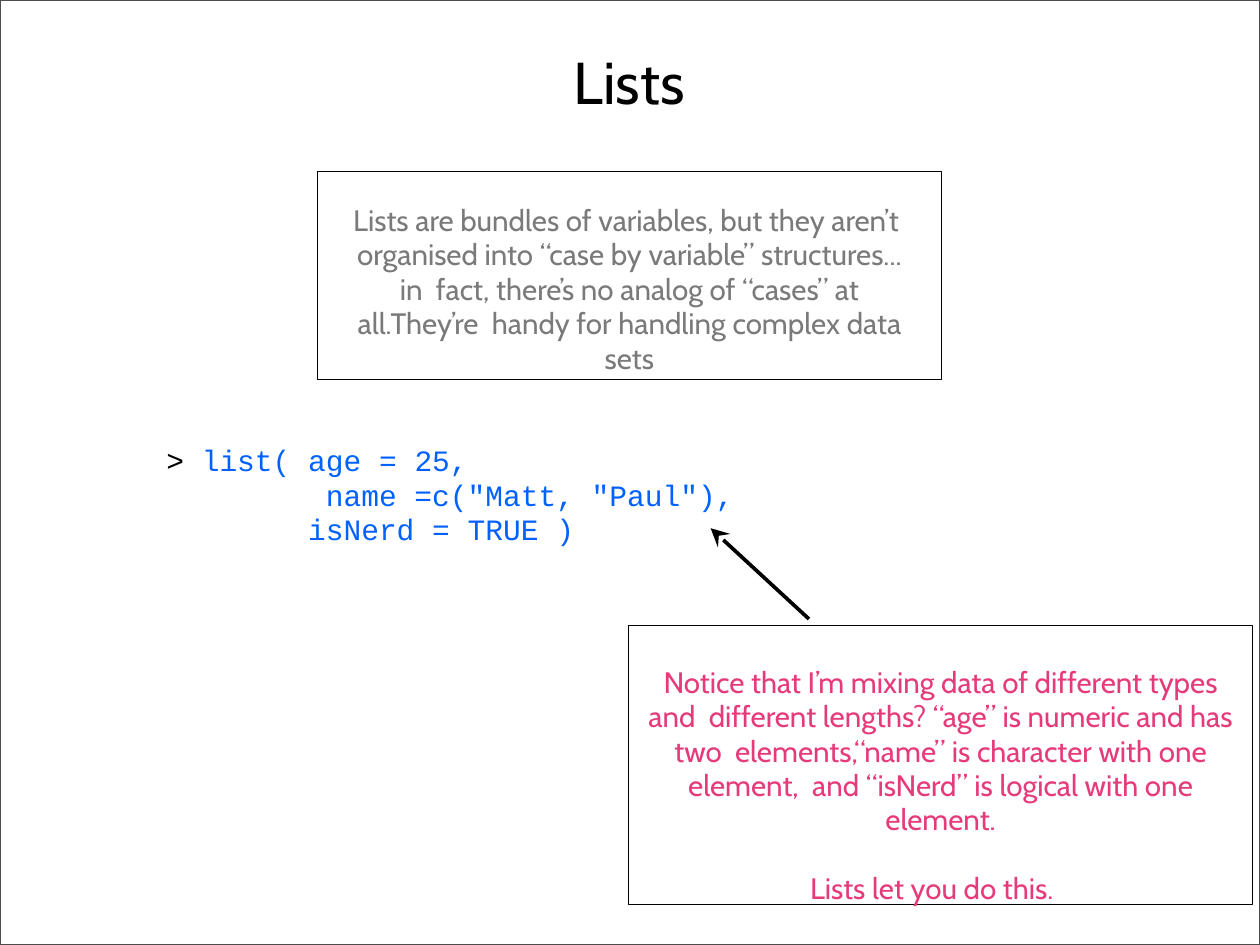
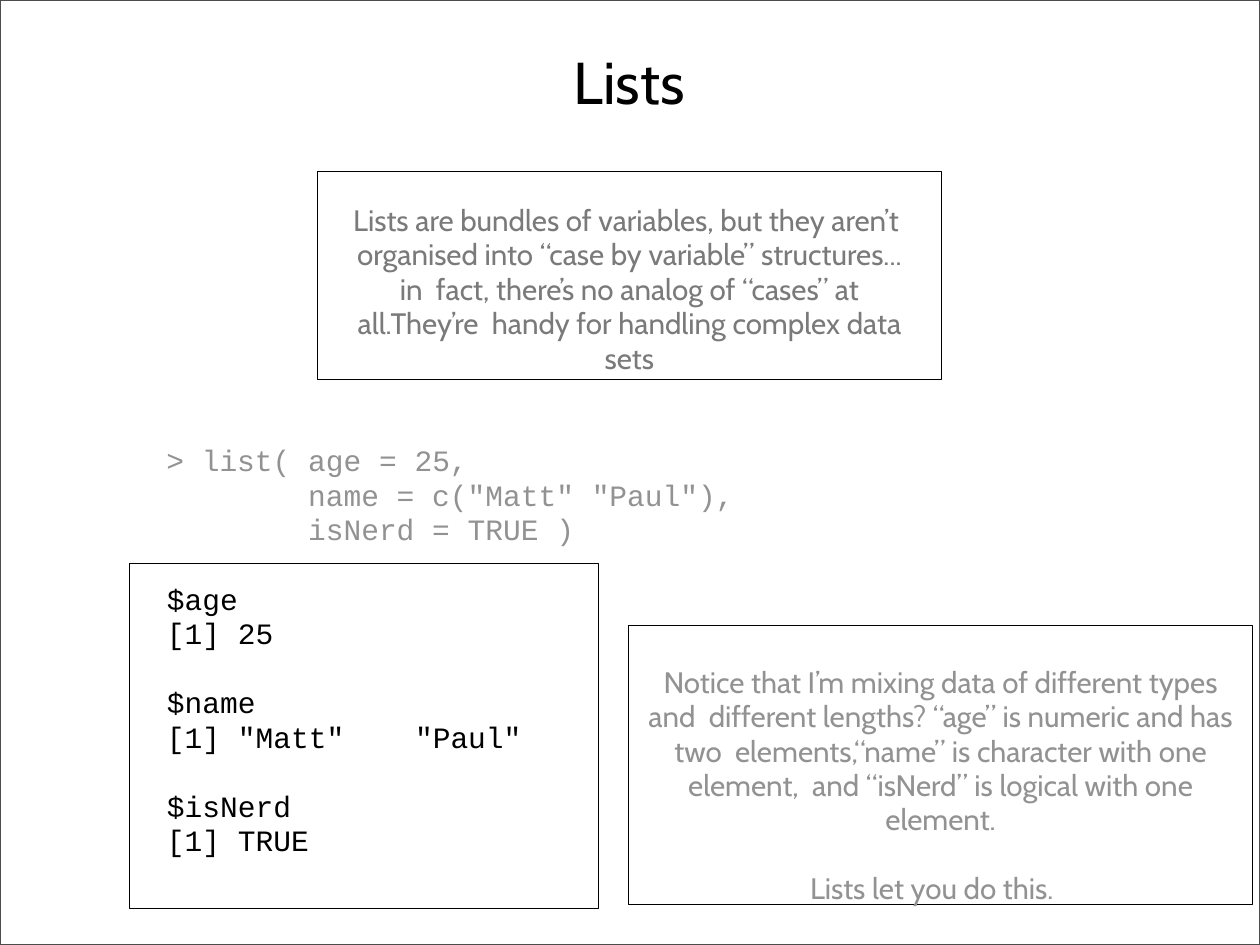
from lxml import etree
from pptx import Presentation, util as u
from pptx.dml.color import RGBColor
from pptx.enum import shapes, text
from pptx.oxml import ns

WIDTH, HEIGHT = 14.22, 10.67
COLOURS = {
    "black": "000000",
    "blue": "0061FF",
    "pink": "E63B7A",
    "grey": "7A7A7A",
    "faded": "929292",
    "frame": "4C4C4C",
}
PROSE, CODE = "Cabin", "Courier New"
TITLE_SIZE, TEXT_SIZE = 48, 24
LINE_PITCH = 28
CHARACTER = 0.2  # inches, one Courier New character at the text size

EXPLANATION = (
    "Lists are bundles of variables, but they aren’t  organised into “case by "
    "variable” structures... in  fact, there’s no analog of “cases” at "
    "all.They’re  handy for handling complex data sets"
)
NOTICE = (
    "Notice that I’m mixing data of different types and  different lengths? "
    "“age” is numeric and has two  elements,“name” is character with one "
    "element,  and “isNerd” is logical with one element."
)
CONCLUSION = "Lists let you do this."
OUTPUT = ["$age", "[1] 25", "$name", '[1] "Matt"\t"Paul"', "$isNerd", "[1] TRUE"]


def across(percent):
    return u.Inches(WIDTH * percent / 100)


def down(percent):
    return u.Inches(HEIGHT * percent / 100)


def area(left, top, width, height):
    """Turn percentages of the slide into lengths."""
    return across(left), down(top), across(width), down(height)


def colour(name):
    return RGBColor.from_string(COLOURS[name])


def set_insets(frame, side=0, top=0):
    frame.word_wrap = True
    frame.auto_size = text.MSO_AUTO_SIZE.NONE
    frame.vertical_anchor = text.MSO_ANCHOR.TOP
    frame.margin_left = frame.margin_right = u.Inches(side)
    frame.margin_top = u.Inches(top)
    frame.margin_bottom = 0


def format_runs(paragraph, font, size, colour_name):
    for run in paragraph.runs:
        run.font.name = font
        run.font.size = u.Pt(size)
        run.font.color.rgb = colour(colour_name)


def write_lines(frame, lines, font, colour_name, align):
    """Fill the frame with one evenly pitched paragraph a line."""
    frame.text = "\n".join(lines)
    for paragraph in frame.paragraphs:
        paragraph.alignment = align
        paragraph.line_spacing = u.Pt(LINE_PITCH)
        format_runs(paragraph, font, TEXT_SIZE, colour_name)
    return frame.paragraphs


def set_indent(paragraph, side, inches):
    """Indent a paragraph; side is marL or marR."""
    paragraph._p.get_or_add_pPr().set(side, str(u.Inches(inches)))


def set_tab_stop(paragraph, inches):
    stops = etree.SubElement(paragraph._p.get_or_add_pPr(), ns.qn("a:tabLst"))
    etree.SubElement(stops, ns.qn("a:tab"), pos=str(u.Inches(inches)), algn="l")


def add_outline(slide, box, colour_name="black", weight=0.75):
    shape = slide.shapes.add_shape(shapes.MSO_SHAPE.RECTANGLE, *box)
    shape.shadow.inherit = False
    shape.fill.background()
    shape.line.color.rgb = colour(colour_name)
    shape.line.width = u.Pt(weight)
    return shape


def add_text_panel(slide, box, lines, colour_name, side, top,
                   font=PROSE, align=text.PP_ALIGN.CENTER):
    frame = add_outline(slide, box).text_frame
    set_insets(frame, side, top)
    return write_lines(frame, lines, font, colour_name, align)


def add_lists_slide(presentation):
    """Add the frame, the title and the explanation that every slide has."""
    slide = presentation.slides.add_slide(presentation.slide_layouts[5])
    add_outline(slide, area(0, 0, 100, 100), "frame", 1)
    title = slide.shapes.title
    title.left, title.top, title.width, title.height = area(21.4, 4.8, 57.1, 7.6)
    set_insets(title.text_frame)
    title.text_frame.text = "Lists"
    paragraph = title.text_frame.paragraphs[0]
    paragraph.alignment = text.PP_ALIGN.CENTER
    format_runs(paragraph, PROSE, TITLE_SIZE, "black")
    add_text_panel(slide, area(25.2, 18.1, 49.5, 22.1), [EXPLANATION], "grey", 0.33, 0.36)
    return slide


def add_code(slide, arguments, colour_name, prompt_colour, name_indent):
    """Write the list() call; name_indent counts characters before the name."""
    frame = slide.shapes.add_textbox(*area(13.2, 46.9, 50, 11)).text_frame
    set_insets(frame)
    lines = ["list( " + arguments[0], *arguments[1:]]
    paragraphs = write_lines(frame, lines, CODE, colour_name, text.PP_ALIGN.LEFT)
    call = paragraphs[0]
    call.text = ""
    for piece, piece_colour in (("> ", prompt_colour), (lines[0], colour_name)):
        run = call.add_run()
        run.text = piece
        run.font.name = CODE
        run.font.size = u.Pt(TEXT_SIZE)
        run.font.color.rgb = colour(piece_colour)
    for paragraph, characters in zip(paragraphs[1:], (name_indent, len("> list( "))):
        set_indent(paragraph, "marL", characters * CHARACTER)


def add_notice(slide, colour_name):
    paragraphs = add_text_panel(slide, area(49.9, 66.2, 49.5, 29.5),
                                [NOTICE, CONCLUSION], colour_name, 0.17, 0.44)
    paragraphs[1].space_before = u.Pt(LINE_PITCH)
    set_indent(paragraphs[1], "marR", CHARACTER)


def add_arrow(slide, start, end):
    arrow = slide.shapes.add_connector(
        shapes.MSO_CONNECTOR.STRAIGHT,
        across(start[0]), down(start[1]), across(end[0]), down(end[1]))
    arrow.line.color.rgb = colour("black")
    arrow.line.width = u.Pt(3)
    etree.SubElement(arrow.line._get_or_add_ln(), ns.qn("a:tailEnd"),
                     type="stealth", w="lg", len="lg")
    etree.SubElement(arrow._element.spPr, ns.qn("a:effectLst"))


def add_output(slide):
    paragraphs = add_text_panel(slide, area(10.3, 59.6, 37.2, 36.5), OUTPUT, "black",
                                0.42, 0.21, CODE, text.PP_ALIGN.LEFT)
    for paragraph in paragraphs[2::2]:
        paragraph.space_before = u.Pt(LINE_PITCH)
    set_tab_stop(paragraphs[3], 14 * CHARACTER)


def main():
    presentation = Presentation()
    presentation.slide_width = u.Inches(WIDTH)
    presentation.slide_height = u.Inches(HEIGHT)

    slide = add_lists_slide(presentation)
    add_code(slide, ["age = 25,", 'name =c("Matt, "Paul"),', "isNerd = TRUE )"],
             "blue", "black", 9)
    add_notice(slide, "pink")
    add_arrow(slide, (64.2, 65.5), (56.4, 55.9))

    slide = add_lists_slide(presentation)
    add_code(slide, ["age = 25,", 'name = c("Matt" "Paul"),', "isNerd = TRUE )"],
             "faded", "faded", 8)
    add_output(slide)
    add_notice(slide, "faded")

    presentation.save("out.pptx")


if __name__ == "__main__":
    main()
